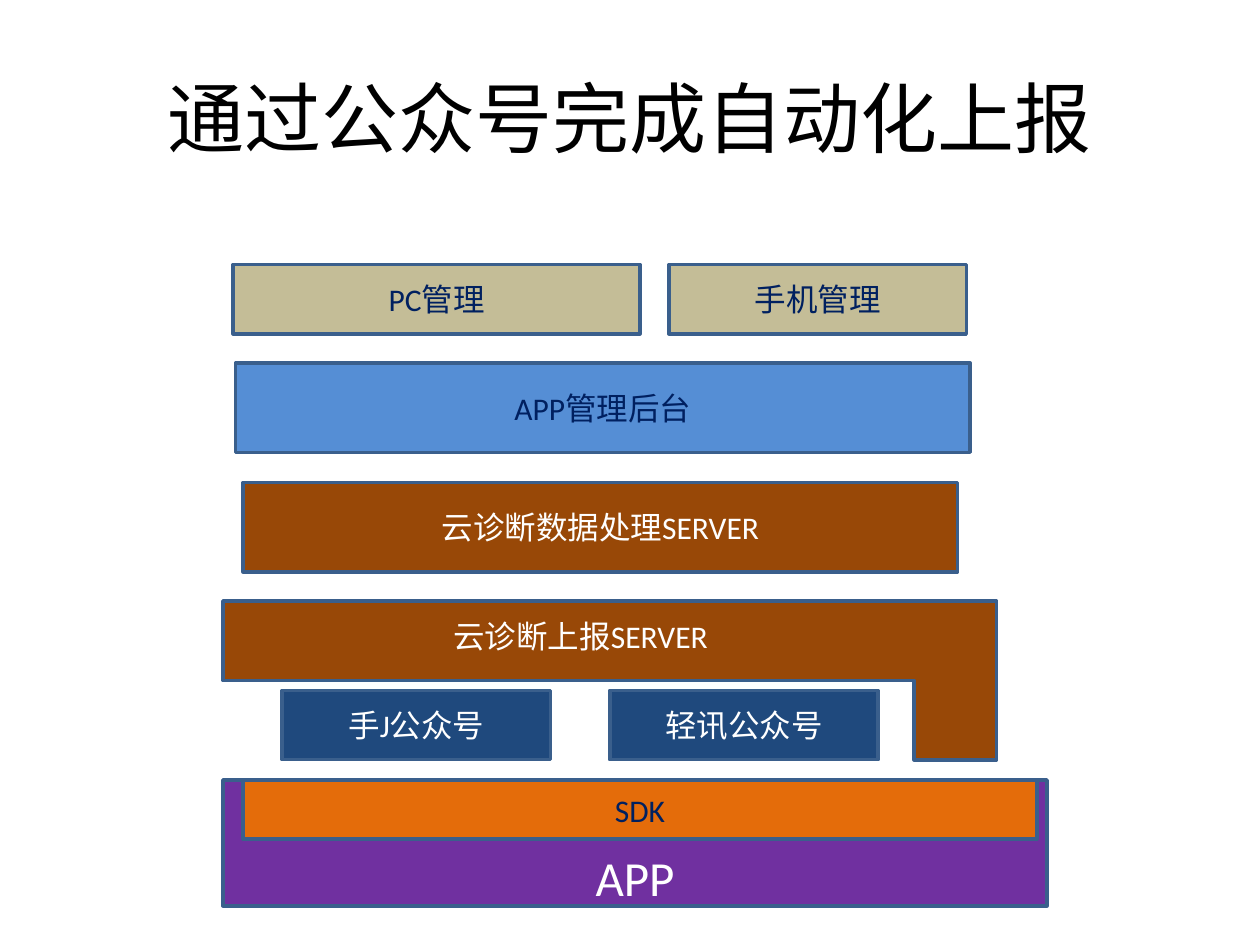
"""Build the slide showing the layers of automatic reporting through public accounts."""
from pptx import Presentation
from pptx.dml.color import RGBColor
from pptx.enum.shapes import MSO_SHAPE
from pptx.enum.text import MSO_ANCHOR, PP_ALIGN
from pptx.util import Inches, Pt

RECTANGLE, CORNER = MSO_SHAPE.RECTANGLE, MSO_SHAPE.CORNER
MIDDLE, BOTTOM = MSO_ANCHOR.MIDDLE, MSO_ANCHOR.BOTTOM
CENTER, LEFT = PP_ALIGN.CENTER, PP_ALIGN.LEFT

COLORS = {
    "black": "000000", "white": "FFFFFF", "navy": "002060", "outline": "3A5F8C",
    "purple": "7030A0", "orange": "E46C0A", "blue": "1F497D",
    "brown": "984807", "sky": "558ED5", "sand": "C4BD97",
}


def write_text(shape, text, color, size=18, alignment=CENTER, anchor=MIDDLE):
    frame = shape.text_frame
    frame.word_wrap = True
    frame.vertical_anchor = anchor
    paragraph = frame.paragraphs[0]
    paragraph.alignment = alignment
    run = paragraph.add_run()
    run.text = text
    for name, value in {"name": "Calibri", "size": Pt(size)}.items():
        setattr(run.font, name, value)
    run.font.color.rgb = RGBColor.from_string(COLORS[color])


def add_block(slide, kind, box, fill):
    shape = slide.shapes.add_shape(kind, *map(Inches, box))
    shape.shadow.inherit = False
    shape.fill.solid()
    shape.fill.fore_color.rgb = RGBColor.from_string(COLORS[fill])
    shape.line.color.rgb = RGBColor.from_string(COLORS["outline"])
    shape.line.width = Pt(2)
    return shape


presentation = Presentation()
presentation.slide_width, presentation.slide_height = Inches(10), Inches(7.5)
slide = presentation.slides.add_slide(presentation.slide_layouts[5])

title = slide.shapes.title
title_box = {"left": 0.5, "top": 0.3, "width": 9, "height": 1.25}
for name, value in title_box.items():
    setattr(title, name, Inches(value))
write_text(title, "通过公众号完成自动化上报", "black", size=44)

app = add_block(slide, RECTANGLE, (1.77, 6.19, 6.54, 1), "purple")
app.text_frame.margin_bottom = Inches(0)
write_text(app, "APP", "white", size=28, anchor=BOTTOM)

report_server = add_block(slide, CORNER, (1.77, 4.77, 6.14, 1.26), "brown")
report_server.rotation = 180
report_server.adjustments[0] = 0.5
report_server.adjustments[1] = 0.52

layers = [
    ("SDK", (1.93, 6.19, 6.3, 0.47), "orange", "navy"),
    ("手J公众号", (2.24, 5.48, 2.13, 0.55), "blue", "white"),
    ("轻讯公众号", (4.84, 5.48, 2.13, 0.55), "blue", "white"),
    ("云诊断数据处理SERVER", (1.93, 3.83, 5.67, 0.71), "brown", "white"),
    ("APP管理后台", (1.87, 2.88, 5.83, 0.71), "sky", "navy"),
    ("PC管理", (1.85, 2.1, 3.23, 0.55), "sand", "navy"),
    ("手机管理", (5.31, 2.1, 2.36, 0.55), "sand", "navy"),
]
for text, box, fill, color in layers:
    write_text(add_block(slide, RECTANGLE, box, fill), text, color)

report_label = slide.shapes.add_textbox(*map(Inches, (3.5, 4.85, 2.52, 0.4)))
write_text(report_label, "云诊断上报SERVER", "white", alignment=LEFT)

presentation.save("out.pptx")
